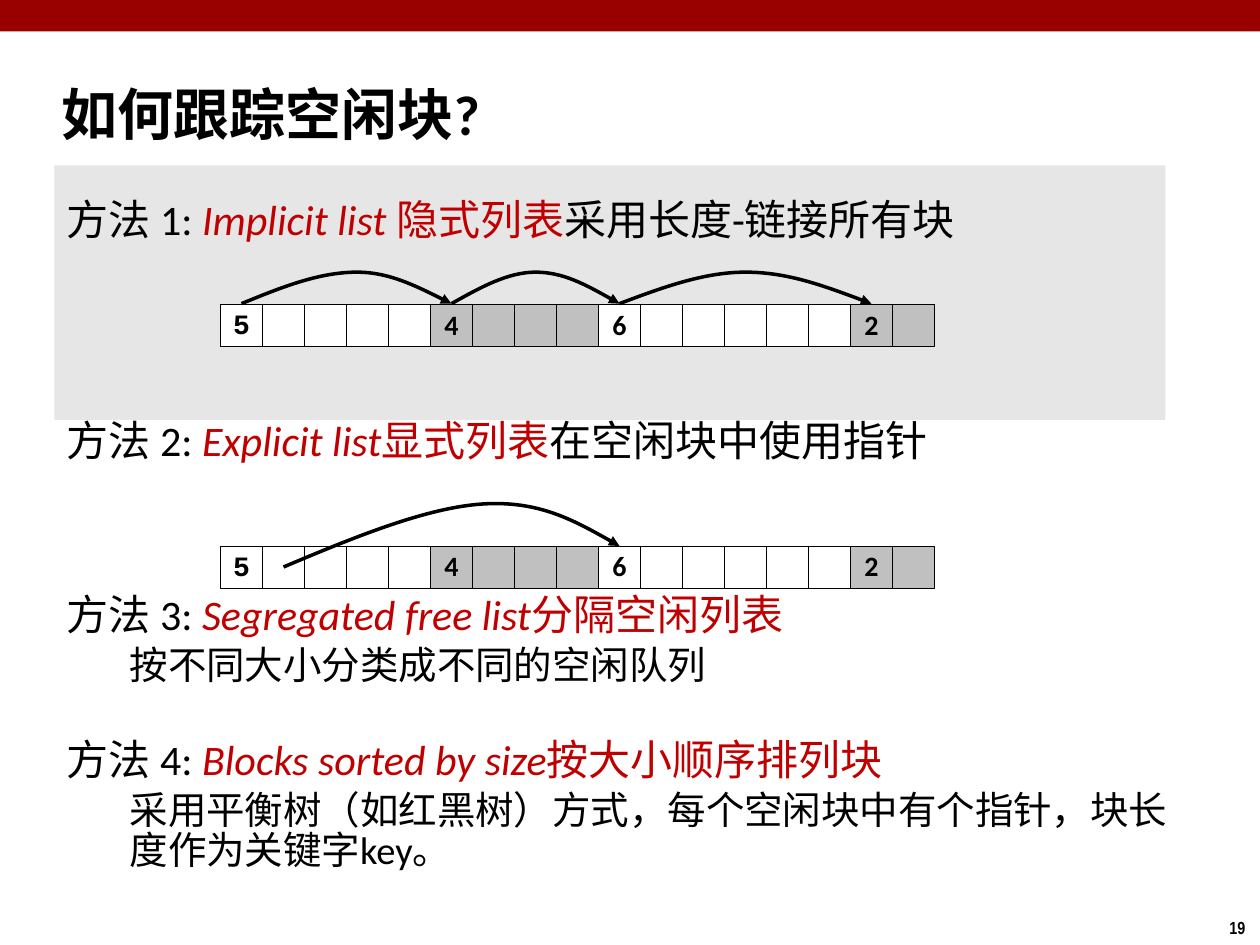
"""Build the slide on four ways of keeping track of free memory blocks."""
from dataclasses import dataclass

from lxml.etree import SubElement
from pptx import Presentation
from pptx.dml.color import RGBColor as Color
from pptx.enum.shapes import MSO_SHAPE as Preset
from pptx.enum.text import MSO_ANCHOR as Anchor, PP_ALIGN as Align
from pptx.oxml.ns import qn
from pptx.util import Pt


@dataclass(frozen=True)
class Theme:
    banner: str = "990000"
    panel: str = "E6E6E6"
    ink: str = "000000"
    accent: str = "C00000"
    used: str = "C0C0C0"
    free: str = "FFFFFF"
    font: str = "Calibri"
    mono: str = "Courier New"
    narrow: str = "Arial Narrow"
    title_size: int = 32
    method_size: int = 24
    detail_size: int = 22
    label_size: int = 16
    number_size: int = 10


CELL = 24
ROW_LEFT = 126
CELL_COUNT = 17
LABELS = {0: "5", 5: "4", 9: "6", 15: "2"}
USED_CELLS = {5, 6, 7, 8, 15, 16}

METHODS = [
    ("方法 1: ", "Implicit list ", "隐式列表", "采用长度-链接所有块", 1.3, 0, ""),
    ("方法 2: ", "Explicit list", "显式列表", "在空闲块中使用指针", 1.3, 88.5, ""),
    ("方法 3: ", "Segregated free list", "分隔空闲列表", "", 0.83, 75.7,
     "按不同大小分类成不同的空闲队列"),
    ("方法 4: ", "Blocks sorted by size", "按大小顺序排列块", "", 0.83, 31.5,
     "采用平衡树（如红黑树）方式，每个空闲块中有个指针，块长度作为关键字key。"),
]


def hop_points(start, peak, end, base=173.5, top=155.5):
    """Return the points of two Bezier curves that rise to a peak and fall again."""
    middle = (base + top) / 2
    rise, fall = (peak - start) / 3, (end - peak) / 3
    return [(start, base), (start + rise, middle), (peak - rise, top), (peak, top),
            (peak + fall, top), (end - fall, middle), (end, base)]


class SlideBuilder:
    """Holds the theme and the current slide and draws each kind of element."""

    def __init__(self, slide, theme):
        self.slide = slide
        self.theme = theme

    def style_run(self, run, size, color=None, font=None, bold=False, italic=False):
        """Give a run its size, colour, font and weight."""
        run.font.size = Pt(size)
        run.font.name = font or self.theme.font
        run.font.color.rgb = Color.from_string(color or self.theme.ink)
        run.font.bold = bold
        run.font.italic = italic

    def rectangle(self, left, top, width, height, fill, line=None):
        """Draw a plain rectangle, outlined only when a line colour is given."""
        shape = self.slide.shapes.add_shape(
            Preset.RECTANGLE, Pt(left), Pt(top), Pt(width), Pt(height))
        shape.shadow.inherit = False
        shape.fill.solid()
        shape.fill.fore_color.rgb = Color.from_string(fill)
        if line:
            shape.line.color.rgb = Color.from_string(line)
            shape.line.width = Pt(0.25)
        else:
            shape.line.fill.background()
        return shape

    def text_box(self, left, top, width, height, wrap=True, anchor=Anchor.TOP):
        """Add an empty text box and return its text frame."""
        shape = self.slide.shapes.add_textbox(Pt(left), Pt(top), Pt(width), Pt(height))
        shape.text_frame.word_wrap = wrap
        shape.text_frame.vertical_anchor = anchor
        return shape.text_frame

    def line_of_text(self, text_frame, text, size, font=None):
        """Fill a text frame with one bold line."""
        text_frame.text = text
        self.style_run(text_frame.paragraphs[0].runs[0], size, font=font, bold=True)

    def method_list(self, text_frame, methods):
        """Write each method as a coloured heading with an optional indented detail."""
        theme = self.theme
        for index, (number, english, chinese, rest, spacing, before, detail) in enumerate(methods):
            paragraph = text_frame.add_paragraph() if index else text_frame.paragraphs[0]
            paragraph.line_spacing = spacing
            paragraph.space_before = Pt(before)
            parts = [(number, theme.ink, False), (english, theme.accent, True),
                     (chinese, theme.accent, False), (rest, theme.ink, False)]
            for text, color, italic in parts:
                if text:
                    run = paragraph.add_run()
                    run.text = text
                    self.style_run(run, theme.method_size, color, italic=italic)
            if detail:
                paragraph = text_frame.add_paragraph()
                paragraph.text = detail
                paragraph.level = 1
                paragraph.line_spacing = 0.88
                paragraph.space_before = Pt(4.4)
                properties = paragraph._p.get_or_add_pPr()
                properties.set("marL", str(Pt(36)))
                properties.set("indent", "0")
                self.style_run(paragraph.runs[0], theme.detail_size)

    def memory_row(self, top):
        """Draw a row of memory words with block sizes in the header words."""
        theme = self.theme
        for index in range(CELL_COUNT):
            fill = theme.used if index in USED_CELLS else theme.free
            cell = self.rectangle(ROW_LEFT + index * CELL, top, CELL, CELL, fill, theme.ink)
            if index in LABELS:
                text_frame = cell.text_frame
                text_frame.word_wrap = False
                text_frame.vertical_anchor = Anchor.MIDDLE
                font = theme.font if index else theme.mono
                self.line_of_text(text_frame, LABELS[index], theme.label_size, font)
                paragraph = text_frame.paragraphs[0]
                paragraph.alignment = Align.CENTER
                paragraph.line_spacing = 0.98 if index else 0.94

    def curved_arrow(self, points):
        """Draw a Bezier arrow through a start point and triples of curve points."""
        start, *others = [(Pt(x), Pt(y)) for x, y in points]
        builder = self.slide.shapes.build_freeform(*start)
        builder.add_line_segments(others, close=False)
        shape = builder.convert_to_shape()
        shape.shadow.inherit = False
        shape.fill.background()
        shape.line.color.rgb = Color.from_string(self.theme.ink)
        shape.line.width = Pt(2)
        outline = next(shape._element.iter(qn("a:path")))
        segments = outline.findall(qn("a:lnTo"))
        for first in range(0, len(segments), 3):
            curve = SubElement(outline, qn("a:cubicBezTo"))
            for segment in segments[first:first + 3]:
                curve.append(segment[0])
                outline.remove(segment)
        SubElement(shape.line._get_or_add_ln(), qn("a:tailEnd"), type="triangle")


def main():
    """Build and save the slide."""
    presentation = Presentation()
    presentation.slide_width, presentation.slide_height = Pt(720), Pt(540)
    theme = Theme()
    builder = SlideBuilder(
        presentation.slides.add_slide(presentation.slide_layouts[6]), theme)

    builder.rectangle(0, 0, 720, 18, theme.banner)
    page_number = builder.text_box(695.5, 520.5, 24.5, 19.5, wrap=False)
    builder.line_of_text(page_number, "19", theme.number_size, theme.narrow)
    builder.rectangle(31, 94.5, 635, 145.5, theme.panel)
    title = builder.text_box(28, 34.5, 598, 60, anchor=Anchor.MIDDLE)
    builder.line_of_text(title, "如何跟踪空闲块?", theme.title_size)
    builder.method_list(builder.text_box(31, 98.6, 653, 423.4), METHODS)

    builder.memory_row(174)
    for start, peak, end in [(138, 204, 258), (258, 306, 354), (354, 426, 498)]:
        builder.curved_arrow(hop_points(start, peak, end))
    builder.memory_row(312)
    builder.curved_arrow([(162, 324), (203, 306.7), (244, 290), (276, 288),
                          (308, 286), (331, 299), (354, 312)])
    presentation.save("out.pptx")


if __name__ == "__main__":
    main()
